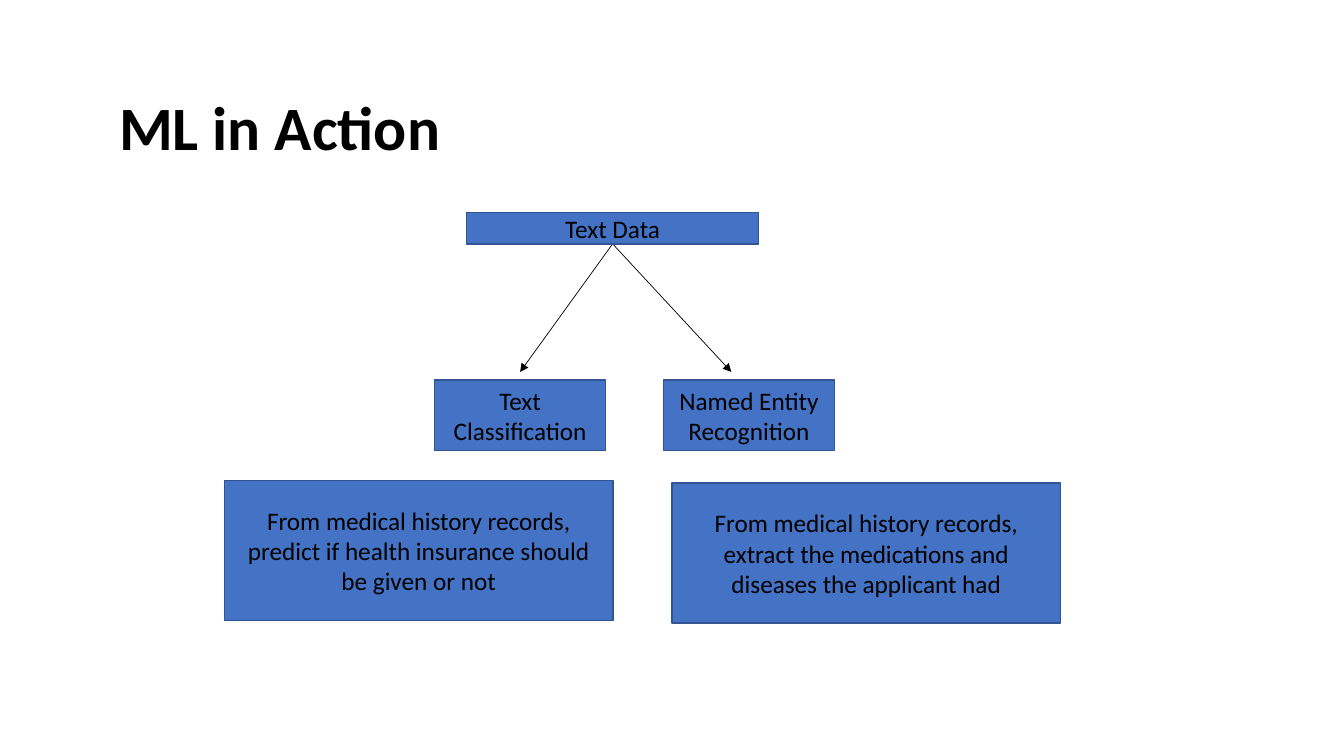
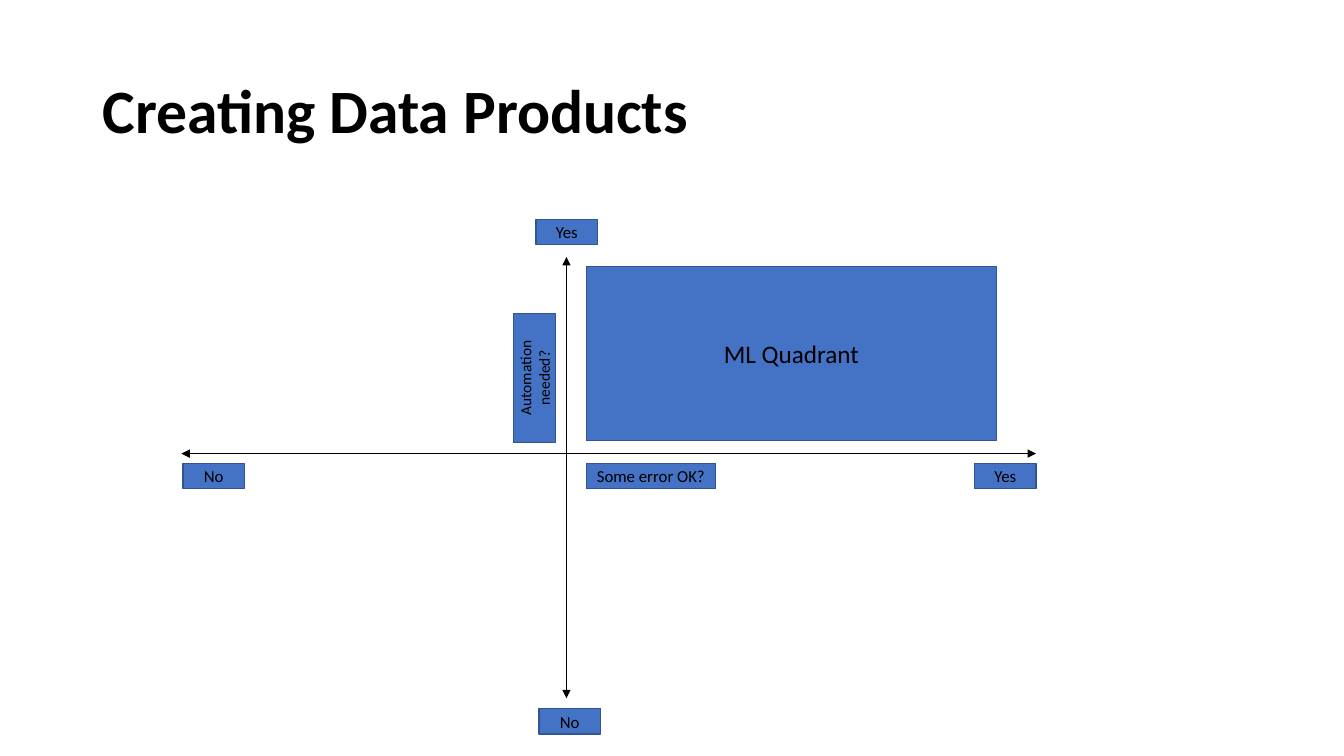
from dataclasses import dataclass

from lxml.etree import SubElement
from pptx import Presentation
from pptx.dml.color import RGBColor
from pptx.enum.shapes import MSO_CONNECTOR as Connector, MSO_SHAPE as Preset
from pptx.enum.text import MSO_ANCHOR as Anchor, PP_ALIGN as Align
from pptx.oxml.ns import qn
from pptx.presentation import Presentation as Deck
from pptx.slide import Slide
from pptx.text.text import Font
from pptx.util import Pt


@dataclass(frozen=True)
class Theme:
    font: str = "Calibri"
    ink: RGBColor = RGBColor(0x00, 0x00, 0x00)
    fill: RGBColor = RGBColor(0x44, 0x72, 0xC4)
    outline: RGBColor = RGBColor(0x32, 0x54, 0x91)
    title_size: float = 44
    body_size: float = 18
    label_size: float = 12
    small_size: float = 11
    outline_width: float = 1
    arrow_width: float = 0.5


THEME = Theme()


@dataclass(frozen=True)
class Box:
    text: str
    left: float
    top: float
    width: float
    height: float
    size: float = THEME.body_size
    rotation: float = 0


@dataclass(frozen=True)
class Arrow:
    start: tuple[float, float]
    end: tuple[float, float]
    double: bool = False


def style_font(font: Font, size: float, bold: bool = False) -> None:
    font.name = THEME.font
    font.size = Pt(size)
    font.bold = bold
    font.color.rgb = THEME.ink


def add_titled_slide(deck: Deck, text: str, left: float, top: float) -> Slide:
    page = deck.slides.add_slide(deck.slide_layouts.get_by_name("Title Only"))
    title = page.shapes.title
    title.left, title.top, title.width, title.height = Pt(left), Pt(top), Pt(828), Pt(104.4)
    title.text_frame.vertical_anchor = Anchor.MIDDLE
    title.text_frame.text = text
    para = title.text_frame.paragraphs[0]
    para.alignment = Align.LEFT
    para.line_spacing = 0.9
    style_font(para.font, THEME.title_size, bold=True)
    return page


def draw_box(page: Slide, box: Box) -> None:
    shape = page.shapes.add_shape(
        Preset.RECTANGLE, Pt(box.left), Pt(box.top), Pt(box.width), Pt(box.height)
    )
    shape.rotation = box.rotation
    shape.shadow.inherit = False
    shape.fill.solid()
    shape.fill.fore_color.rgb = THEME.fill
    shape.line.color.rgb = THEME.outline
    shape.line.width = Pt(THEME.outline_width)
    frame = shape.text_frame
    frame.word_wrap = True
    frame.vertical_anchor = Anchor.MIDDLE
    frame.text = box.text
    for para in frame.paragraphs:
        para.alignment = Align.CENTER
        style_font(para.font, box.size)


def draw_arrow(page: Slide, arrow: Arrow) -> None:
    line = page.shapes.add_connector(
        Connector.STRAIGHT, *(Pt(value) for value in arrow.start + arrow.end)
    )
    line.line.color.rgb = THEME.ink
    line.line.width = Pt(THEME.arrow_width)
    properties = line._element.spPr
    outline = properties.find(qn("a:ln"))
    for tag in ("a:headEnd", "a:tailEnd") if arrow.double else ("a:tailEnd",):
        SubElement(outline, qn(tag), type="triangle")
    SubElement(properties, qn("a:effectLst"))


def draw_all(page: Slide, arrows: list[Arrow], boxes: list[Box]) -> None:
    for arrow in arrows:
        draw_arrow(page, arrow)
    for box in boxes:
        draw_box(page, box)


def build_ml_in_action(deck: Deck) -> None:
    page = add_titled_slide(deck, "ML in Action", 77.8, 41)
    root = Box("Text Data", 333.4, 151.9, 208.4, 22.3)
    fork = (root.left + root.width / 2, root.top + root.height)
    task_top, task_size = 271.4, (122.4, 50.4)
    example_size = (277.4, 100)
    draw_all(
        page,
        [Arrow(fork, (x, 265.7)) for x in (371.5, 522.4)],
        [
            root,
            Box("Text Classification", 310.3, task_top, *task_size),
            Box("Named Entity\nRecognition", 473.8, task_top, *task_size),
            Box(
                "From medical history records, predict if health insurance "
                "should be given or not",
                160.4, 343.2, *example_size,
            ),
            Box(
                "From medical history records, extract the medications and "
                "diseases the applicant had",
                480.1, 345, *example_size,
            ),
        ],
    )


def build_data_products(deck: Deck) -> None:
    page = add_titled_slide(deck, "Creating Data Products", 66.2, 28.8)
    axis_x, axis_y = 404.6, 324
    quadrant_left = axis_x + 14.2
    label_top = axis_y + 7
    question_width = 92.2
    answer_size = (43.8, 18, THEME.label_size)
    draw_all(
        page,
        [
            Arrow((axis_x, 183.6), (axis_x, 498.8), double=True),
            Arrow((129.6, axis_y), (740, axis_y), double=True),
        ],
        [
            Box("Some error OK?", quadrant_left, label_top, question_width, 18, THEME.label_size),
            Box("Yes", 696.2, label_top, *answer_size),
            Box("No", 130.7, label_top, *answer_size),
            Box("Automation needed?", 335.6, 254.9, question_width, 30.2, THEME.small_size, 270),
            Box("Yes", 383, 156.8, *answer_size),
            Box("No", 385, 506.2, *answer_size),
            Box("ML Quadrant", quadrant_left, 190.2, 293, 124.4),
        ],
    )


def main() -> None:
    deck = Presentation()
    deck.slide_width, deck.slide_height = Pt(960), Pt(540)
    build_ml_in_action(deck)
    build_data_products(deck)
    deck.save("out.pptx")


if __name__ == "__main__":
    main()
